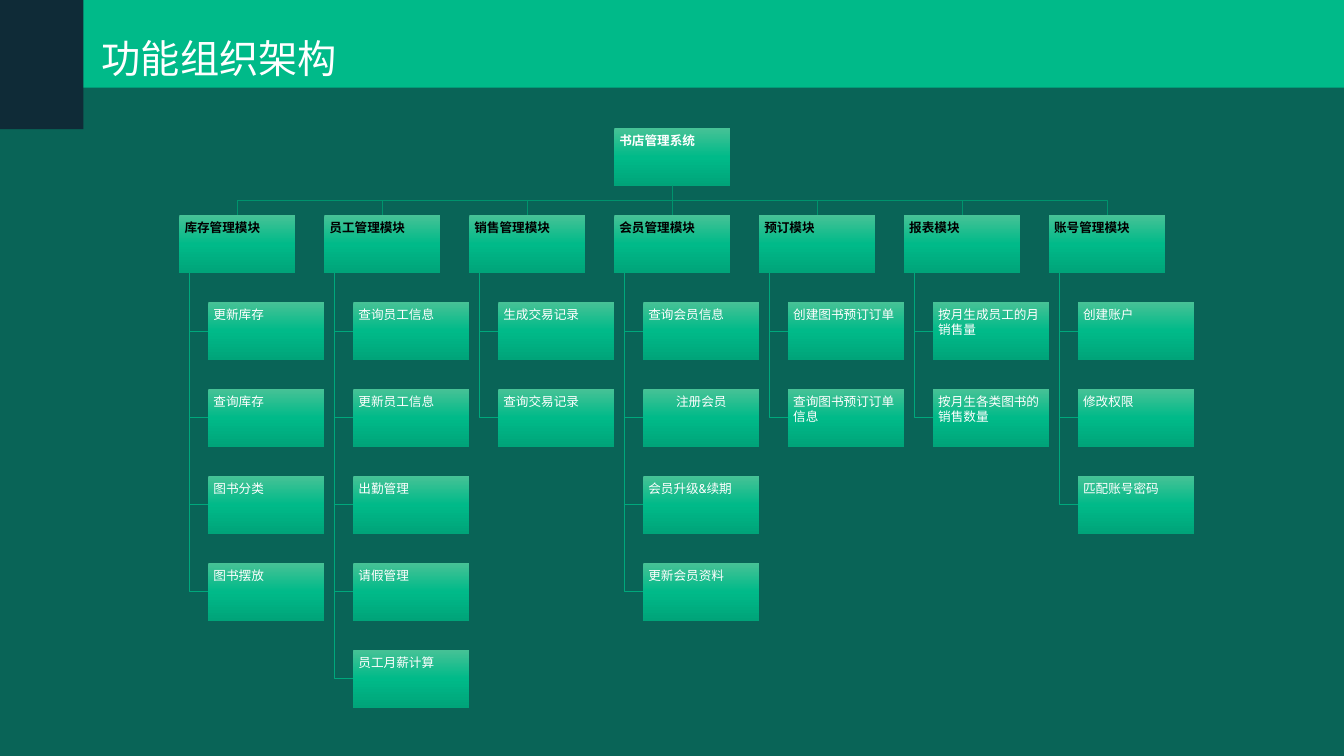
from copy import deepcopy
from itertools import groupby

from pptx import Presentation
from pptx.dml.color import RGBColor
from pptx.enum.shapes import MSO_CONNECTOR as Conn, MSO_SHAPE as Form
from pptx.enum.text import MSO_ANCHOR as Anchor, MSO_AUTO_SIZE as Size, PP_ALIGN as Align
from pptx.oxml.ns import qn
from pptx.util import Inches, Pt

WIDE, HIGH = Inches(13.33), Inches(7.5)
UNIT = Inches(1.15) / 4
LEFT, TOP = Inches(1.78), Inches(1.27)

GREEN = RGBColor(0x00, 0xBA, 0x89)
LIGHT = RGBColor(0x47, 0xC2, 0x96)
DEEP = RGBColor(0x00, 0xA4, 0x79)
NAVY = RGBColor(0x0F, 0x2B, 0x37)
WHITE = RGBColor(0xFF, 0xFF, 0xFF)
BLACK = RGBColor(0x00, 0x00, 0x00)
TRUNK = RGBColor(0x00, 0x93, 0x6D)
TWIG = RGBColor(0x00, 0xA8, 0x7C)

HAN, LATIN = "Noto Sans CJK SC", "Roboto"
PAD = Inches(0.05)
FRAME = {
    "margin_left": PAD, "margin_top": PAD, "margin_right": PAD, "margin_bottom": PAD,
    "word_wrap": True, "auto_size": Size.NONE, "vertical_anchor": Anchor.TOP,
}
HEAD = {"size": Pt(28), "bold": False}
STRONG = {"size": Pt(9), "bold": True}
PLAIN = {"size": Pt(9), "bold": False}

ROOT = "书店管理系统"
TREE = {
    "库存管理模块": ["更新库存", "查询库存", "图书分类", "图书摆放"],
    "员工管理模块": ["查询员工信息", "更新员工信息", "出勤管理", "请假管理", "员工月薪计算"],
    "销售管理模块": ["生成交易记录", "查询交易记录"],
    "会员管理模块": ["查询会员信息", "注册会员", "会员升级&续期", "更新会员资料"],
    "预订模块": ["创建图书预订订单", "查询图书预订订单信息"],
    "报表模块": ["按月生成员工的月销售量", "按月生各类图书的销售数量"],
    "账号管理模块": ["创建账户", "修改权限", "匹配账号密码"],
}
CENTRED = {"注册会员"}


def apply(item, values):
    for name, value in values.items():
        setattr(item, name, value)


class Board:
    def __init__(self, slide):
        self.slide = slide
        self.shapes = slide.shapes

    def spot(self, col, row):
        return round(LEFT + col * UNIT), round(TOP + row * UNIT)

    def area(self, x, y, w, h):
        return {"left": round(x * WIDE), "top": round(y * HIGH),
                "width": round(w * WIDE), "height": round(h * HIGH)}

    def label(self, shape, text, style, color, align=Align.LEFT):
        apply(shape.text_frame, FRAME)
        para = shape.text_frame.paragraphs[0]
        para.alignment = align
        for latin, part in groupby(text, str.isascii):
            run = para.add_run()
            run.text = "".join(part)
            apply(run.font, {**style, "name": LATIN if latin else HAN})
            run.font.color.rgb = color
            east = run.font._element.makeelement(qn("a:ea"), {"typeface": HAN})
            run.font._element.find(qn("a:latin")).addnext(east)

    def title(self, text, *share):
        shape = self.shapes.title
        apply(shape, self.area(*share))
        self.label(shape, text, HEAD, WHITE)
        self.shapes._spTree.append(shape._element)

    def panel(self, color, *share, alpha=100):
        shape = self.shapes.add_shape(Form.RECTANGLE, **self.area(*share))
        shape.shadow.inherit = False
        shape.line.fill.background()
        shape.fill.solid()
        shape.fill.fore_color.rgb = color
        tint = shape._element.spPr.find(".//" + qn("a:srgbClr"))
        if alpha < 100:
            tint.append(tint.makeelement(qn("a:alpha"), {"val": str(alpha * 1000)}))

    def box(self, col, row, text, style, color, align=Align.LEFT):
        shape = self.shapes.add_shape(
            Form.RECTANGLE, *self.spot(col, row), round(4 * UNIT), round(2 * UNIT))
        shape.shadow.inherit = False
        shape.line.fill.background()
        shape.fill.gradient()
        shape.fill.gradient_angle = 270
        stops = shape._element.spPr.find(".//" + qn("a:gsLst"))
        stops.append(deepcopy(stops[-1]))
        for stop, place, tone in zip(shape.fill.gradient_stops, (0, 0.5, 1), (LIGHT, GREEN, DEEP)):
            stop.position = place
            stop.color.rgb = tone
        self.label(shape, text, style, color, align)

    def link(self, color, *points):
        start, *rest = [self.spot(*point) for point in points]
        if all(x == start[0] for x, _ in rest):
            line = self.shapes.add_connector(Conn.STRAIGHT, *start, *rest[-1])
            props = line._element.spPr
            props.append(props.makeelement(qn("a:effectLst"), {}))
        else:
            pen = self.shapes.build_freeform(*start)
            pen.add_line_segments(rest, close=False)
            line = pen.convert_to_shape()
            line.shadow.inherit = False
            line.fill.background()
        line.line.color.rgb = color
        line.line.width = Pt(0.5)


def main():
    deck = Presentation()
    apply(deck, {"slide_width": WIDE, "slide_height": HIGH})
    slide = deck.slides.add_slide(deck.slide_layouts[5])
    slide.background.fill.solid()
    slide.background.fill.fore_color.rgb = GREEN

    board = Board(slide)
    board.panel(NAVY, 0, 0.116, 1, 0.884, alpha=60)
    board.panel(NAVY, 0, 0, 0.062, 0.171)
    board.title("功能组织架构", 0.072, 0.039, 0.268, 0.088)

    mid = 5 * (len(TREE) - 1) / 2
    board.box(mid, 0, ROOT, STRONG, WHITE)
    for num, (name, tasks) in enumerate(TREE.items()):
        col = 5 * num
        board.box(col, 3, name, STRONG, BLACK)
        board.link(TRUNK, (mid + 2, 2), (mid + 2, 2.5), (col + 2, 2.5), (col + 2, 3))
        stem = col + 0.35
        for step, task in enumerate(tasks, 2):
            row = 3 * step
            align = Align.CENTER if task in CENTRED else Align.LEFT
            board.box(col + 1, row, task, PLAIN, WHITE, align)
            board.link(TWIG, (stem, 5), (stem, row + 1), (col + 1, row + 1))

    deck.save("out.pptx")


if __name__ == "__main__":
    main()
